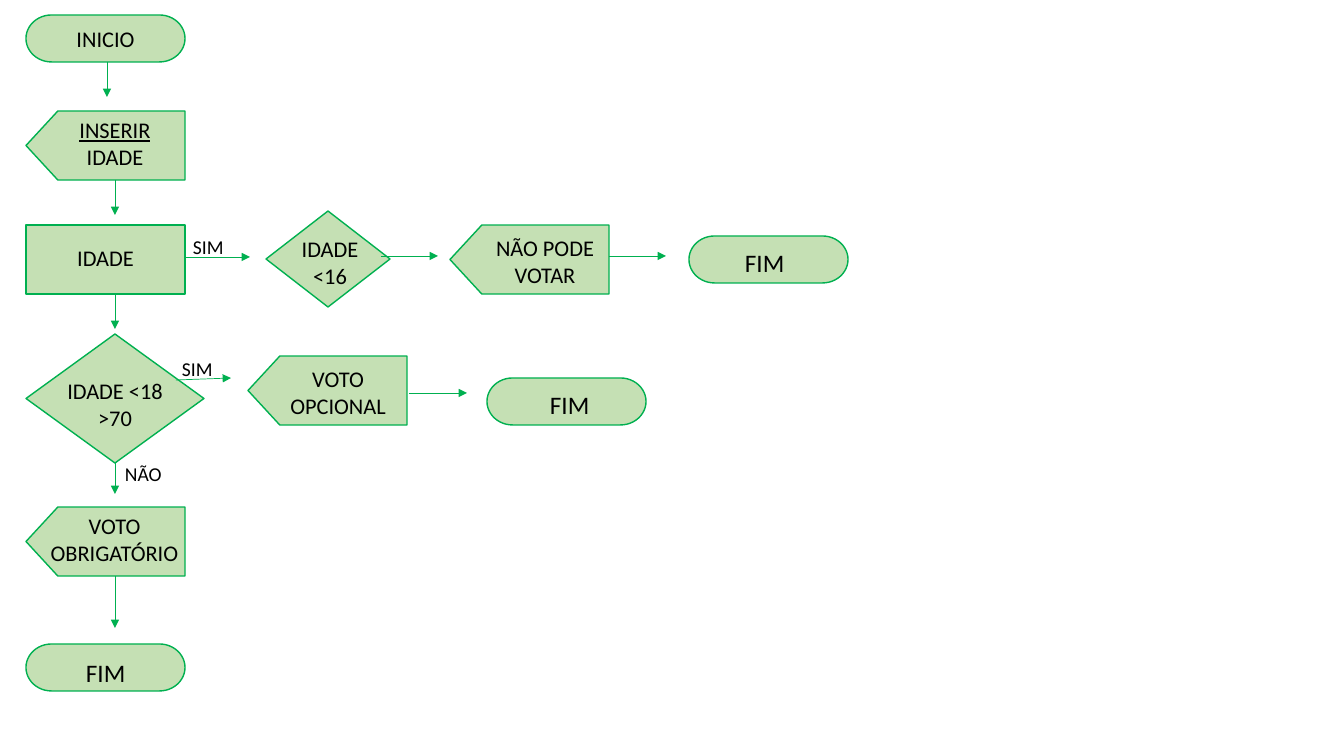
from pptx import Presentation
from pptx import util as u
from pptx.dml.color import RGBColor
from pptx.enum import shapes, text
from lxml import etree

theme = {
    "font": "Calibri", "fill": RGBColor.from_string("C5E0B4"),
    "line": RGBColor.from_string("00B050"), "ink": RGBColor.from_string("000000"),
    "step": 16, "end": 18, "tag": 14, "edge": 1, "flow": 0.5,
}
NS = "{http://schemas.openxmlformats.org/drawingml/2006/main}"
PX = 914400 / 100.8


def box(*nums):
    return [u.Emu(round(n * PX)) for n in nums]


def style(frame, size, align):
    frame.word_wrap = True
    for para in frame.paragraphs:
        para.alignment = align
        for run in para.runs:
            run.font.name = theme["font"]
            run.font.size = u.Pt(size)
            run.font.color.rgb = theme["ink"]


deck = Presentation()
deck.slide_width, deck.slide_height = box(1344, 756)
slide = deck.slides.add_slide(deck.slide_layouts[6])
kind = shapes.MSO_SHAPE
left, mid = text.PP_ALIGN.LEFT, text.PP_ALIGN.CENTER

# Flow nodes: kind, left, top, width, height as seen
END, STEP = (159, 47), (159, 69)
nodes = [
    (kind.FLOWCHART_TERMINATOR, 26, 15, *END),
    (kind.FLOWCHART_OFFPAGE_CONNECTOR, 26, 111, *STEP),
    (kind.FLOWCHART_PROCESS, 26, 225, *STEP),
    (kind.FLOWCHART_DECISION, 266, 211, 124, 96),
    (kind.FLOWCHART_OFFPAGE_CONNECTOR, 450, 225, *STEP),
    (kind.FLOWCHART_TERMINATOR, 689, 236, *END),
    (kind.FLOWCHART_DECISION, 26, 334, 178, 129),
    (kind.FLOWCHART_OFFPAGE_CONNECTOR, 248, 356, *STEP),
    (kind.FLOWCHART_TERMINATOR, 487, 378, *END),
    (kind.FLOWCHART_OFFPAGE_CONNECTOR, 26, 507, *STEP),
    (kind.FLOWCHART_TERMINATOR, 26, 644, *END),
]
for form, x, y, w, h in nodes:
    turn = form == kind.FLOWCHART_OFFPAGE_CONNECTOR
    if turn:  # swap the sides about the centre, then rotate
        x, y, w, h = x + (w - h) // 2, y - (w - h) // 2, h, w
    node = slide.shapes.add_shape(form, *box(x, y, w, h))
    node.rotation = 90 if turn else 0
    node.shadow.inherit = False
    node.fill.solid()
    node.fill.fore_color.rgb = theme["fill"]
    node.line.color.rgb = theme["line"]
    node.line.width = u.Pt(theme["edge"])

# Start label sits inside its node
start = slide.shapes[0].text_frame
start.text = "INICIO"
start.vertical_anchor = text.MSO_ANCHOR.MIDDLE
style(start, theme["step"], mid)

# Arrows: from x, y to x, y
arrows = [
    (107, 62, 107, 97), (115, 180, 115, 215), (115, 294, 115, 329),
    (185, 257, 250, 257), (381, 256, 438, 256), (609, 256, 666, 256),
    (409, 393, 467, 393), (176, 380, 231, 378),
    (115, 463, 115, 494), (115, 576, 115, 628),
]
for ends in arrows:
    arrow = slide.shapes.add_connector(shapes.MSO_CONNECTOR.STRAIGHT, *box(*ends))
    arrow.line.color.rgb = theme["line"]
    arrow.line.width = u.Pt(theme["flow"])
    etree.SubElement(arrow.line._get_or_add_ln(), NS + "tailEnd", type="triangle")
    etree.SubElement(arrow._element.spPr, NS + "effectLst")

# Labels: words, left, top, width, height, role, alignment
labels = [
    ("INSERIR", 44, 111, 142, 64, "step", mid),
    ("IDADE", 26, 239, 159, 37, "step", mid),
    ("IDADE <16", 280, 230, 100, 64, "step", mid),
    ("NÃO PODE VOTAR", 458, 229, 174, 64, "step", mid),
    ("IDADE <18\n>70", 26, 372, 178, 64, "step", mid),
    ("VOTO OPCIONAL", 276, 360, 124, 64, "step", mid),
    ("VOTO OBRIGATÓRIO", 35, 507, 159, 64, "step", mid),
    ("FIM", 735, 242, 131, 40, "end", left),
    ("FIM", 540, 384, 131, 40, "end", left),
    ("FIM", 76, 652, 131, 40, "end", left),
    ("SIM", 172, 352, 80, 34, "tag", left),
    ("SIM", 183, 230, 80, 34, "tag", left),
    ("NÃO", 115, 457, 80, 34, "tag", left),
]
for words, x, y, w, h, role, align in labels:
    frame = slide.shapes.add_textbox(*box(x, y, w, h)).text_frame
    frame.text = words
    if words == "INSERIR":
        para = frame.paragraphs[0]
        para.runs[0].font.underline = True
        para.add_run().text = " IDADE"
    frame.auto_size = text.MSO_AUTO_SIZE.SHAPE_TO_FIT_TEXT
    style(frame, theme[role], align)

deck.save("out.pptx")
